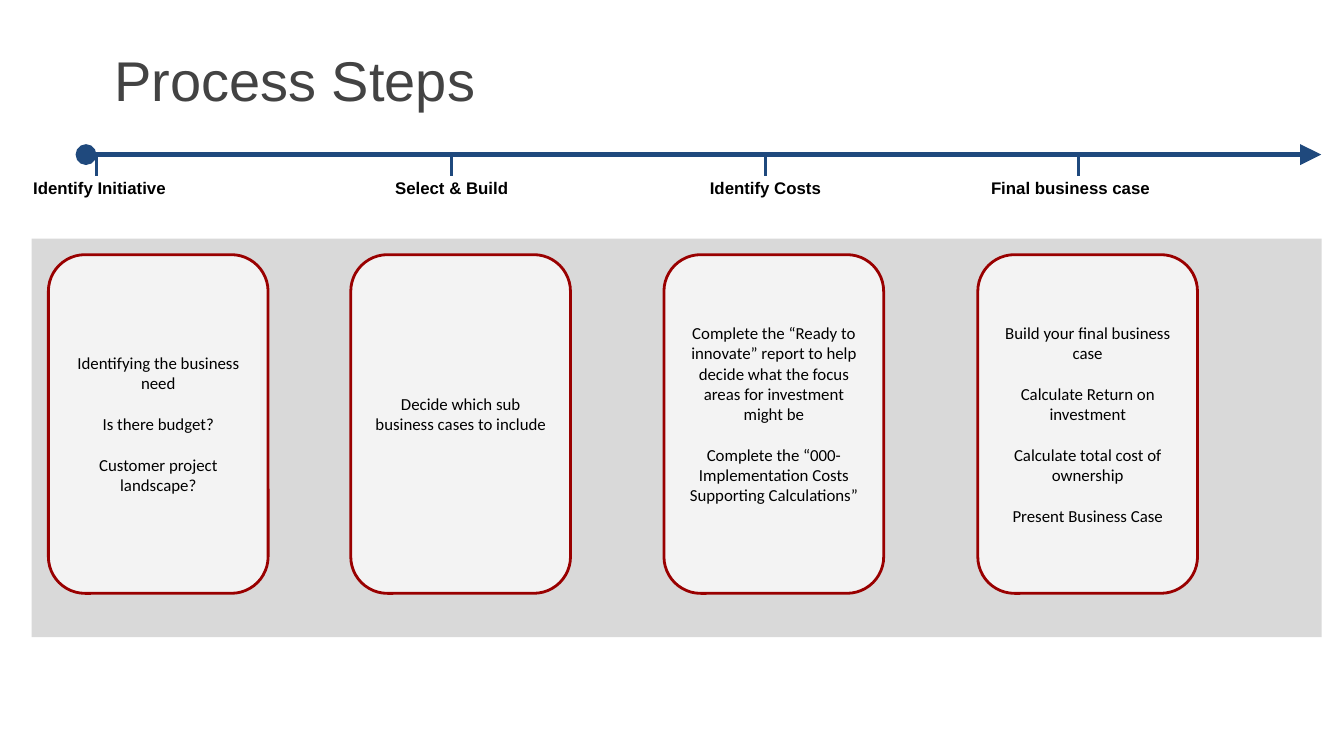
from typing import NamedTuple

from pptx import Presentation
from pptx.dml.color import RGBColor
from pptx.enum.shapes import MSO_CONNECTOR, MSO_SHAPE
from pptx.enum.text import MSO_ANCHOR as Anchor, MSO_AUTO_SIZE as AutoSize, PP_ALIGN as Align
from pptx.oxml.ns import qn
from pptx.util import Pt
from lxml.etree import SubElement

PX = 4572  # EMU per px, 200 px to the inch
COLOURS = {
    "title": "434343",
    "text": "000000",
    "timeline": "1F497D",
    "band": "D9D9D9",
    "card": "F3F3F3",
    "card_edge": "990000",
}
TIMELINE_Y = 230
TICK_TOP, TICK_BOTTOM = 234, 262
LABEL_TOP, LABEL_HEIGHT = 244, 78
CARD_TOP, CARD_WIDTH, CARD_HEIGHT = 379, 327, 504
INSET = 20
LINE_PT = 11  # height of one line of card text
LINE_PX = 30


class Step(NamedTuple):
    label: str
    label_left: int
    label_width: int
    label_align: Align
    tick_x: int
    card_left: int
    notes: list
    raised: bool  # notes sit half a line above the middle


STEPS = [
    Step("Identify Initiative", 12, 272, Align.CENTER, 144, 72,
         ["Identifying the business need", "Is there budget?",
          "Customer project landscape?"], False),
    Step("Select & Build", 465, 414, Align.CENTER, 672, 522,
         ["Decide which sub business cases to include"], True),
    Step("Identify Costs", 973, 332, Align.CENTER, 1139, 988,
         ["Complete the “Ready to innovate” report to help decide what the "
          "focus areas for investment might be",
          "Complete the “000-Implementation Costs Supporting Calculations”"], True),
    Step("Final business case", 1455, 316, Align.LEFT, 1605, 1455,
         ["Build your final business case", "Calculate Return on investment",
          "Calculate total cost of ownership", "Present Business Case"], False),
]


def px(*lengths):
    return [length * PX for length in lengths]


def colour(name):
    return RGBColor.from_string(COLOURS[name])


def set_frame(frame, anchor, extra_bottom=0):
    frame.word_wrap = True
    frame.auto_size = AutoSize.NONE
    frame.vertical_anchor = anchor
    frame.margin_left = frame.margin_right = frame.margin_top = INSET * PX
    frame.margin_bottom = (INSET + extra_bottom) * PX


def write(paragraph, text, size, align, font_name="Arial", tint="text", bold=False):
    paragraph.text = text
    paragraph.alignment = align
    font = paragraph.font
    font.name, font.size, font.bold = font_name, Pt(size), bold
    font.color.rgb = colour(tint)


def add_title(slide, text):
    title = slide.shapes.title
    title.left, title.top, title.width, title.height = px(150, 64, 1700, 124)
    set_frame(title.text_frame, Anchor.BOTTOM)
    write(title.text_frame.paragraphs[0], text, 30, Align.LEFT, tint="title")


def add_box(slide, preset, bounds, fill, edge=None):
    box = slide.shapes.add_shape(preset, *px(*bounds))
    box.shadow.inherit = False
    box.fill.solid()
    box.fill.fore_color.rgb = colour(fill)
    if edge:
        box.line.color.rgb = colour(edge)
        box.line.width = Pt(1.5)
    else:
        box.line.fill.background()
    return box


def add_line(slide, ends, width, arrowheads=()):
    """arrowheads holds pairs such as ("headEnd", "oval")."""
    line = slide.shapes.add_connector(MSO_CONNECTOR.STRAIGHT, *px(*ends))
    line.line.color.rgb = colour("timeline")
    line.line.width = Pt(width)
    outline = line.line._get_or_add_ln()
    for end, kind in arrowheads:
        SubElement(outline, qn(f"a:{end}"), type=kind, w="lg", len="lg")
    SubElement(line._element.spPr, qn("a:effectLst"))


def add_label(slide, step):
    label = slide.shapes.add_textbox(
        *px(step.label_left, LABEL_TOP, step.label_width, LABEL_HEIGHT))
    set_frame(label.text_frame, Anchor.TOP)
    write(label.text_frame.paragraphs[0], step.label, 9, step.label_align, bold=True)


def add_card(slide, step):
    card = add_box(slide, MSO_SHAPE.ROUNDED_RECTANGLE,
                   (step.card_left, CARD_TOP, CARD_WIDTH, CARD_HEIGHT),
                   "card", "card_edge")
    frame = card.text_frame
    set_frame(frame, Anchor.MIDDLE, LINE_PX if step.raised else 0)
    for index, note in enumerate(step.notes):
        paragraph = frame.add_paragraph() if index else frame.paragraphs[0]
        write(paragraph, note, 9, Align.CENTER, font_name="Calibri")
        if index:
            paragraph.space_before = Pt(LINE_PT)


def main():
    deck = Presentation()
    deck.slide_width, deck.slide_height = px(2000, 1125)
    slide = deck.slides.add_slide(deck.slide_layouts[5])

    add_title(slide, "Process Steps")
    add_box(slide, MSO_SHAPE.RECTANGLE, (47, 355, 1920, 593), "band")
    add_line(slide, (128, TIMELINE_Y, 1966, TIMELINE_Y), 2.25,
             [("headEnd", "oval"), ("tailEnd", "triangle")])
    for step in STEPS:
        add_line(slide, (step.tick_x, TICK_TOP, step.tick_x, TICK_BOTTOM), 1.5)
        add_label(slide, step)
        add_card(slide, step)

    deck.save("out.pptx")


if __name__ == "__main__":
    main()
